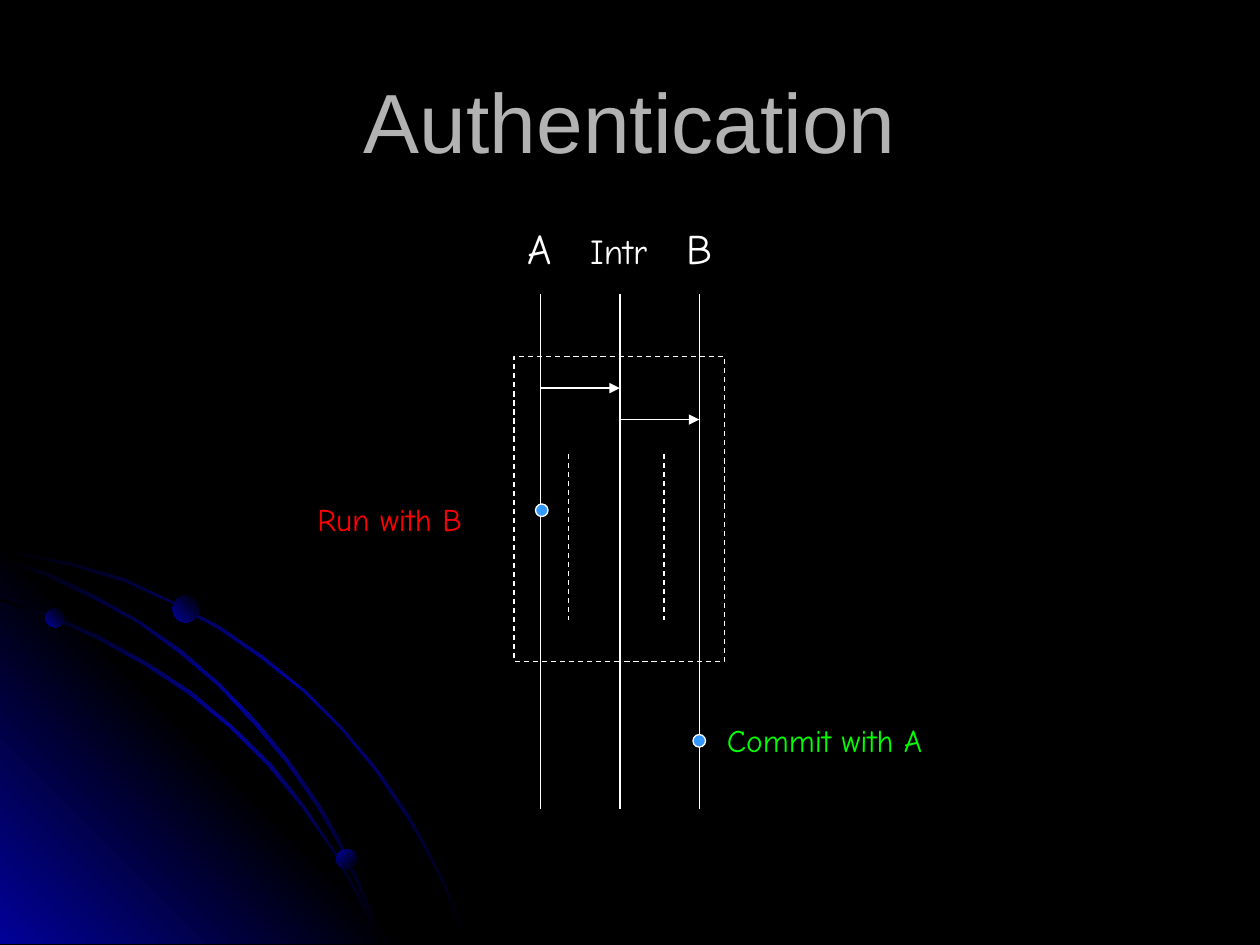
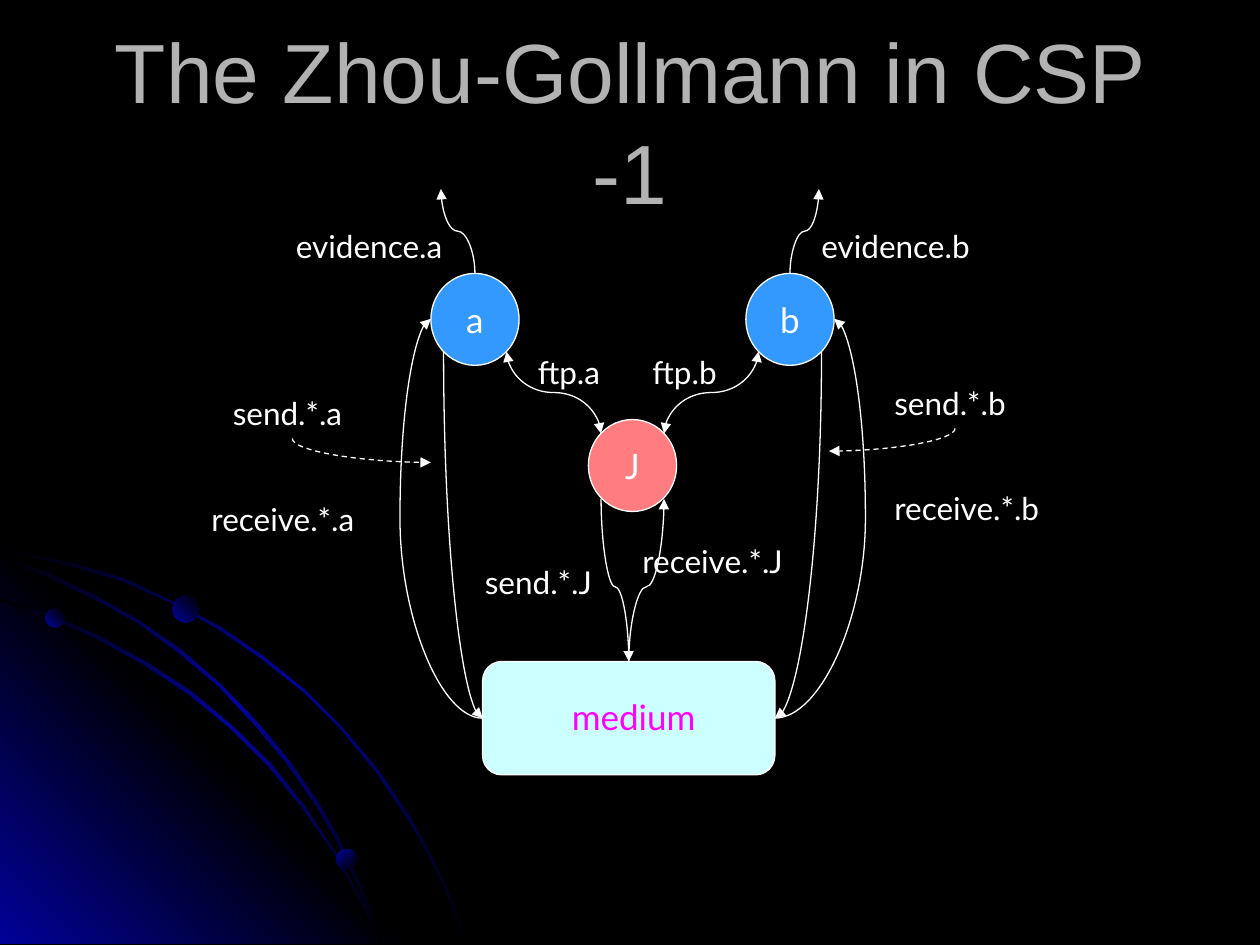
"""Build two dark protocol slides: authentication timelines and a CSP process network."""
from lxml.etree import SubElement
from pptx import Presentation
from pptx.dml.color import RGBColor
from pptx.enum.dml import MSO_LINE
from pptx.enum.shapes import MSO_CONNECTOR, MSO_SHAPE
from pptx.enum.text import MSO_ANCHOR, MSO_AUTO_SIZE, PP_ALIGN
from pptx.oxml import parse_xml
from pptx.oxml.ns import nsdecls, qn
from pptx.util import Emu, Pt

EMU_PER_PX = 9144

BLACK = RGBColor(0x00, 0x00, 0x00)
WHITE = RGBColor(0xFF, 0xFF, 0xFF)
SILVER = RGBColor(0xB2, 0xB2, 0xB2)
NAVY = RGBColor(0x01, 0x01, 0x99)
BLUE = RGBColor(0x33, 0x99, 0xFF)
CORAL = RGBColor(0xFF, 0x7C, 0x80)
ICE = RGBColor(0xCC, 0xFF, 0xFF)
MAGENTA = RGBColor(0xFF, 0x00, 0xFF)
GREEN = RGBColor(0x00, 0xFF, 0x00)
RED = RGBColor(0xFF, 0x00, 0x00)

TITLE_FONT = "Arial"
HAND_FONT = "Comic Neue"
PLAIN_FONT = "Lato"

OUTER_ORBIT = [
    (57, 447), (28, 441), (0, 435), (0, 438), (28, 443), (56, 449), (97, 461), (135, 478),
    (173, 499), (208, 523), (241, 549), (271, 579), (298, 612), (323, 649), (337, 673),
    (350, 698), (360, 723), (370, 749), (372, 749), (362, 723), (352, 698), (339, 673),
    (325, 648), (300, 611), (272, 578), (242, 548), (209, 521), (174, 497), (136, 477),
    (98, 459)]
CORNER_GLOW = [(322, 749), (0, 749), (0, 427)]
INNER_ORBIT = [
    (285, 714), (294, 732), (301, 749), (303, 749), (296, 730), (286, 712), (266, 676),
    (242, 640), (215, 606), (184, 576), (152, 549), (117, 526), (79, 505), (41, 488),
    (0, 475), (0, 477), (39, 490), (77, 507), (115, 528), (150, 551), (183, 578),
    (213, 608), (240, 641), (265, 677)]
MIDDLE_ORBIT = [
    (0, 442), (0, 444), (36, 457), (74, 475), (109, 494), (142, 518), (173, 544),
    (202, 575), (227, 605), (252, 641), (267, 667), (280, 694), (292, 722), (301, 749),
    (303, 749), (294, 720), (282, 693), (269, 665), (254, 639), (229, 603), (204, 573),
    (175, 543), (144, 516), (111, 493), (76, 473), (39, 455)]


def px(*lengths):
    return [Emu(round(length * EMU_PER_PX)) for length in lengths]


def write_text(frame, text, *, size=18, font=PLAIN_FONT, color=WHITE,
               align=PP_ALIGN.LEFT, anchor=MSO_ANCHOR.TOP, wrap=False,
               fit=MSO_AUTO_SIZE.NONE):
    frame.word_wrap = wrap
    frame.auto_size = fit
    frame.vertical_anchor = anchor
    para = frame.paragraphs[0]
    para.alignment = align
    span = para.add_run()
    span.text = text
    span.font.size = Pt(size)
    span.font.name = font
    span.font.color.rgb = color


def fill_gradient(shape, colors, angle):
    last = len(colors) - 1
    stops = "".join(
        f'<a:gs pos="{100000 * index // last}"><a:srgbClr val="{color}"/></a:gs>'
        for index, color in enumerate(colors))
    shape.fill.background()
    properties = shape.element.spPr
    properties.replace(properties.find(qn("a:noFill")), parse_xml(
        f'<a:gradFill {nsdecls("a")} rotWithShape="1"><a:gsLst>{stops}</a:gsLst>'
        f'<a:lin ang="{angle * 60000}" scaled="1"/></a:gradFill>'))
    shape.line.fill.background()
    shape.shadow.inherit = False


class Deck:
    def __init__(self):
        self.file = Presentation()
        self.file.slide_width, self.file.slide_height = px(1000, 750)
        background = self.file.slide_master.background.fill
        background.solid()
        background.fore_color.rgb = BLACK
        self.layout = self.file.slide_layouts[5]
        self.page = None

    def add_page(self, title):
        self.page = self.file.slides.add_slide(self.layout)
        box = self.page.shapes.title
        box.left, box.top, box.width, box.height = px(75, 33, 850, 125)
        write_text(box.text_frame, title, size=48, font=TITLE_FONT, color=SILVER,
                   align=PP_ALIGN.CENTER, anchor=MSO_ANCHOR.MIDDLE, wrap=True)

    def share(self, shapes):
        for index, shape in enumerate(shapes):
            self.layout.shapes.element.insert(2 + index, shape.element)

    def glow_outline(self, points, colors, angle):
        builder = self.page.shapes.build_freeform(*points[0], scale=EMU_PER_PX)
        builder.add_line_segments(points[1:], close=True)
        shape = builder.convert_to_shape()
        fill_gradient(shape, colors, angle)
        return shape

    def glow_dot(self, left, top, size, angle):
        shape = self.page.shapes.add_shape(MSO_SHAPE.OVAL, *px(left, top, size, size))
        fill_gradient(shape, (NAVY, BLACK), angle)
        return shape

    def shape(self, kind, left, top, width, height, fill, text=None):
        shape = self.page.shapes.add_shape(kind, *px(left, top, width, height))
        shape.shadow.inherit = False
        shape.fill.solid()
        shape.fill.fore_color.rgb = fill
        shape.line.color.rgb = WHITE
        shape.line.width = Pt(0.75)
        if text:
            write_text(shape.text_frame, text, size=20, align=PP_ALIGN.CENTER,
                       anchor=MSO_ANCHOR.MIDDLE)
        return shape

    def label(self, text, left, top, width, height=40, **style):
        box = self.page.shapes.add_textbox(*px(left, top, width, height))
        write_text(box.text_frame, text, fit=MSO_AUTO_SIZE.SHAPE_TO_FIT_TEXT, **style)

    def finish_line(self, line, dashed, tips):
        line.line.color.rgb = WHITE
        line.line.width = Pt(0.75)
        if dashed:
            line.line.dash_style = MSO_LINE.DASH
        for tip in tips:
            SubElement(line.get_or_add_ln(), qn(f"a:{tip}"), type="triangle")
        SubElement(line.element.spPr, qn("a:effectLst"))

    def straight(self, start, end, dashed=False, tips=()):
        line = self.page.shapes.add_connector(MSO_CONNECTOR.STRAIGHT, *px(*start, *end))
        self.finish_line(line, dashed, tips)

    def curve(self, start, end, bend=50, upright=True, quarter=False, dashed=False,
              tips=("tailEnd",)):
        across, down = end[0] - start[0], end[1] - start[1]
        width, height = abs(across), abs(down)
        if upright:
            width, height = height, width
            turn = 270 if across > 0 else 90
            flip = "flipH" if (across > 0) == (down > 0) else None
        else:
            turn = 180 if across < 0 else 0
            flip = "flipV" if (across > 0) != (down > 0) else None
        left = (start[0] + end[0] - width) / 2
        top = (start[1] + end[1] - height) / 2
        line = self.page.shapes.add_connector(
            MSO_CONNECTOR.CURVE, *px(left, top, left + width, top + height))
        frame = line.element.spPr.find(qn("a:xfrm"))
        frame.set("rot", str(turn * 60000))
        if flip:
            frame.set(flip, "1")
        geometry = line.element.spPr.find(qn("a:prstGeom"))
        if quarter:
            geometry.set("prst", "curvedConnector2")
        else:
            SubElement(geometry.find(qn("a:avLst")), qn("a:gd"), name="adj1",
                       fmla=f"val {round(bend * 1000)}")
        self.finish_line(line, dashed, tips)


def draw_backdrop(deck):
    streak = (BLACK, NAVY, BLACK)
    deck.share([
        deck.glow_outline(OUTER_ORBIT, streak, 45),
        deck.glow_outline(CORNER_GLOW, (NAVY, BLACK, NAVY), 315),
        deck.glow_outline(INNER_ORBIT, streak, 45),
        deck.glow_outline(MIDDLE_ORBIT, streak, 45),
        deck.glow_dot(36, 483, 15, 315),
        deck.glow_dot(267, 674, 16, 45),
        deck.glow_dot(137, 473, 21, 315)])


def draw_authentication(deck):
    alice, intruder, bob = 429, 492, 555
    session = deck.shape(MSO_SHAPE.RECTANGLE, 408, 283, 167, 242, BLACK)
    session.line.dash_style = MSO_LINE.DASH
    for lifeline in (alice, intruder, bob):
        deck.straight((lifeline, 233), (lifeline, 642))
    for name, left, top, width, height, size in (
            ("A", 406, 172, 44, 50, 24), ("Intr", 453, 177, 76, 43, 20),
            ("B", 535, 172, 41, 50, 24)):
        deck.label(name, left, top, width, height, size=size, font=HAND_FONT,
                   align=PP_ALIGN.CENTER)
    for pause in (451, 527):
        deck.straight((pause, 360), (pause, 492), dashed=True)
    for sender, receiver, level in ((alice, intruder, 308), (intruder, bob, 333)):
        deck.straight((sender, level), (receiver, level), tips=("tailEnd",))
    for left, top in ((425, 400), (550, 583)):
        deck.shape(MSO_SHAPE.OVAL, left, top, 10, 10, BLUE)
    deck.label("Commit with A", 567, 567, 175, font=HAND_FONT, color=GREEN)
    deck.label("Run with B", 242, 392, 144, font=HAND_FONT, color=RED)


def draw_network(deck):
    medium = deck.shape(MSO_SHAPE.ROUNDED_RECTANGLE, 383, 525, 232, 90, ICE)
    medium.adjustments[0] = 0.17
    for name, left, top, fill in (
            ("J", 467, 333, CORAL), ("a", 342, 217, BLUE), ("b", 592, 217, BLUE)):
        deck.shape(MSO_SHAPE.OVAL, left, top, 70, 73, fill, name)

    medium_left, medium_right, medium_top = (383, 570), (615, 570), (499, 525)
    judge_left, judge_right = (477, 396), (527, 396)
    deck.curve((352, 279), medium_left, quarter=True)
    deck.curve((652, 279), medium_right, quarter=True)
    deck.curve(medium_left, (342, 253), bend=160, upright=False)
    deck.curve(medium_right, (662, 253), bend=153, upright=False)
    deck.curve(judge_left, medium_top, bend=54)
    deck.curve(medium_top, judge_right, bend=46)
    for start, end in (((527, 344), (602, 279)), ((477, 344), (402, 279))):
        deck.curve(start, end, tips=("headEnd", "tailEnd"))
    for start, end in (((627, 217), (650, 150)), ((377, 217), (350, 150))):
        deck.curve(start, end)
    for start, end in (((232, 348), (342, 367)), ((758, 340), (658, 358))):
        deck.curve(start, end, quarter=True, dashed=True)

    deck.label("medium", 443, 547, 120, 44, size=20, color=MAGENTA,
               align=PP_ALIGN.CENTER)
    for text, left, top, width in (
            ("receive.*.b", 700, 383, 141), ("receive.*.J", 500, 425, 138),
            ("receive.*.a", 158, 392, 141), ("send.*.J", 375, 442, 112),
            ("send.*.b", 700, 300, 115), ("send.*.a", 175, 308, 114),
            ("ftp.a", 417, 275, 71), ("ftp.b", 508, 275, 72),
            ("evidence.a", 225, 175, 138), ("evidence.b", 642, 175, 139)):
        deck.label(text, left, top, width)


def main():
    deck = Deck()
    deck.add_page("Authentication")
    draw_backdrop(deck)
    draw_authentication(deck)
    deck.add_page("The Zhou-Gollmann in CSP -1")
    draw_network(deck)
    deck.file.save("out.pptx")


if __name__ == "__main__":
    main()
